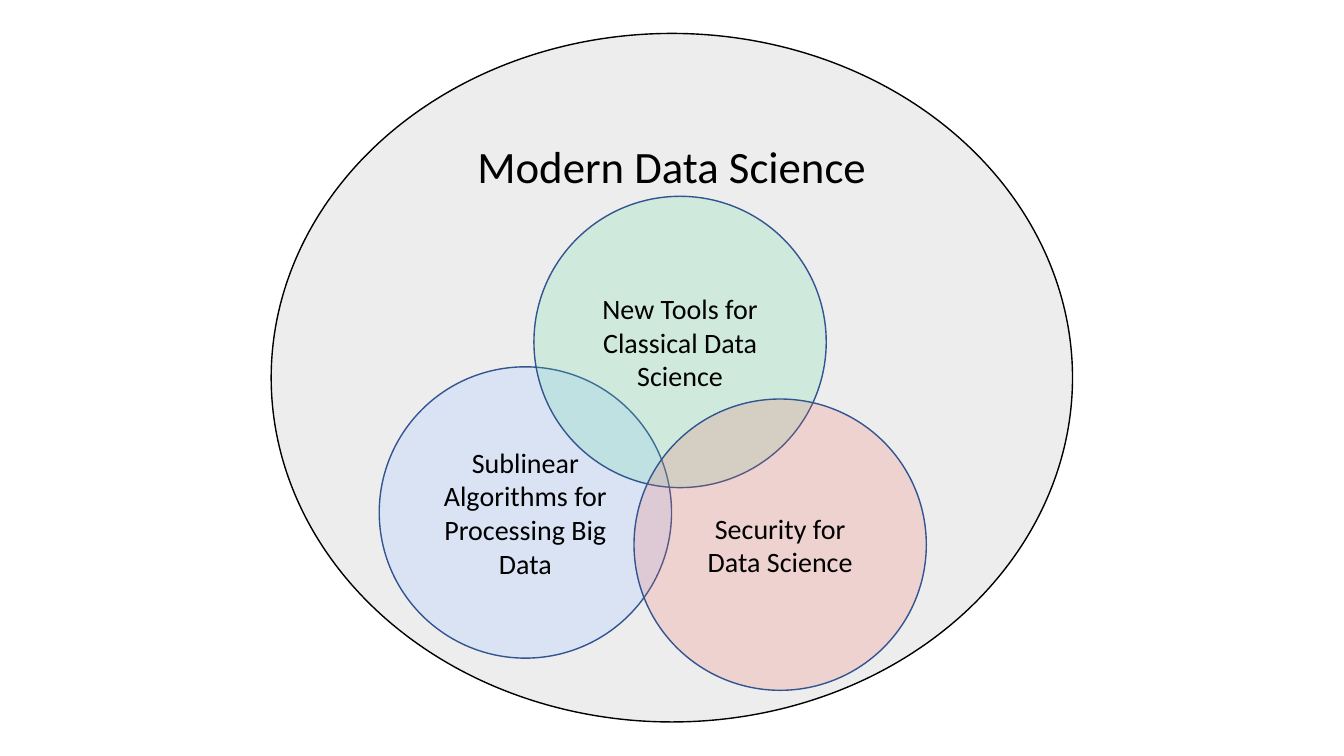
import pptx
import pptx.dml.color
import pptx.enum.shapes
import pptx.enum.text
import pptx.oxml.ns
import pptx.util
from lxml import etree

Pt = pptx.util.Pt
RGBColor = pptx.dml.color.RGBColor
Anchor = pptx.enum.text.MSO_ANCHOR

BLACK = RGBColor(0x00, 0x00, 0x00)
GREY = RGBColor(0xED, 0xED, 0xED)
NAVY = RGBColor(0x32, 0x54, 0x91)
BLUE = RGBColor(0xDA, 0xE3, 0xF3)
GREEN = RGBColor(0x58, 0xDA, 0x9F)
RED = RGBColor(0xF1, 0x68, 0x5D)

CIRCLE_WIDTH, CIRCLE_HEIGHT = 208.8, 208.1


class VennPage:
    """Holds the text style and the page being drawn."""

    font_name = "Calibri"
    line_width = 1

    def __init__(self, page):
        self.page = page

    def ellipse(self, bounds, fill, outline, opacity=100):
        shape = self.page.shapes.add_shape(
            pptx.enum.shapes.MSO_SHAPE.OVAL, *[Pt(length) for length in bounds])
        shape.shadow.inherit = False
        shape.fill.solid()
        shape.fill.fore_color.rgb = fill
        shape.line.color.rgb = outline
        shape.line.width = Pt(self.line_width)
        if opacity < 100:
            color = shape.fill._xPr.find(".//" + pptx.oxml.ns.qn("a:srgbClr"))
            alpha = etree.SubElement(color, pptx.oxml.ns.qn("a:alpha"))
            alpha.set("val", str(opacity * 1000))
        return shape

    def label(self, shape, text, size, anchor=Anchor.MIDDLE):
        frame = shape.text_frame
        frame.word_wrap = True
        frame.vertical_anchor = anchor
        para = frame.paragraphs[0]
        para.alignment = pptx.enum.text.PP_ALIGN.CENTER
        span = para.add_run()
        span.text = text
        span.font.name = self.font_name
        span.font.size = Pt(size)
        span.font.color.rgb = BLACK


def main():
    deck = pptx.Presentation()
    deck.slide_width, deck.slide_height = Pt(960), Pt(540)
    venn = VennPage(deck.slides.add_slide(deck.slide_layouts[6]))

    # Surrounding field
    field = venn.ellipse((193.7, 23.9, 572.4, 491.8), GREY, BLACK)
    venn.label(field, "Modern Data Science", 32, Anchor.TOP)

    # Overlapping topics, back to front
    topics = [
        ("Sublinear Algorithms for Processing Big Data", 270.9, 262, BLUE, 100),
        ("New Tools for Classical Data Science", 381.4, 140.2, GREEN, 20),
        ("Security for Data Science", 452.9, 285, RED, 20),
    ]
    for text, left, top, fill, opacity in topics:
        circle = venn.ellipse(
            (left, top, CIRCLE_WIDTH, CIRCLE_HEIGHT), fill, NAVY, opacity)
        venn.label(circle, text, 20)

    deck.save("out.pptx")


if __name__ == "__main__":
    main()
